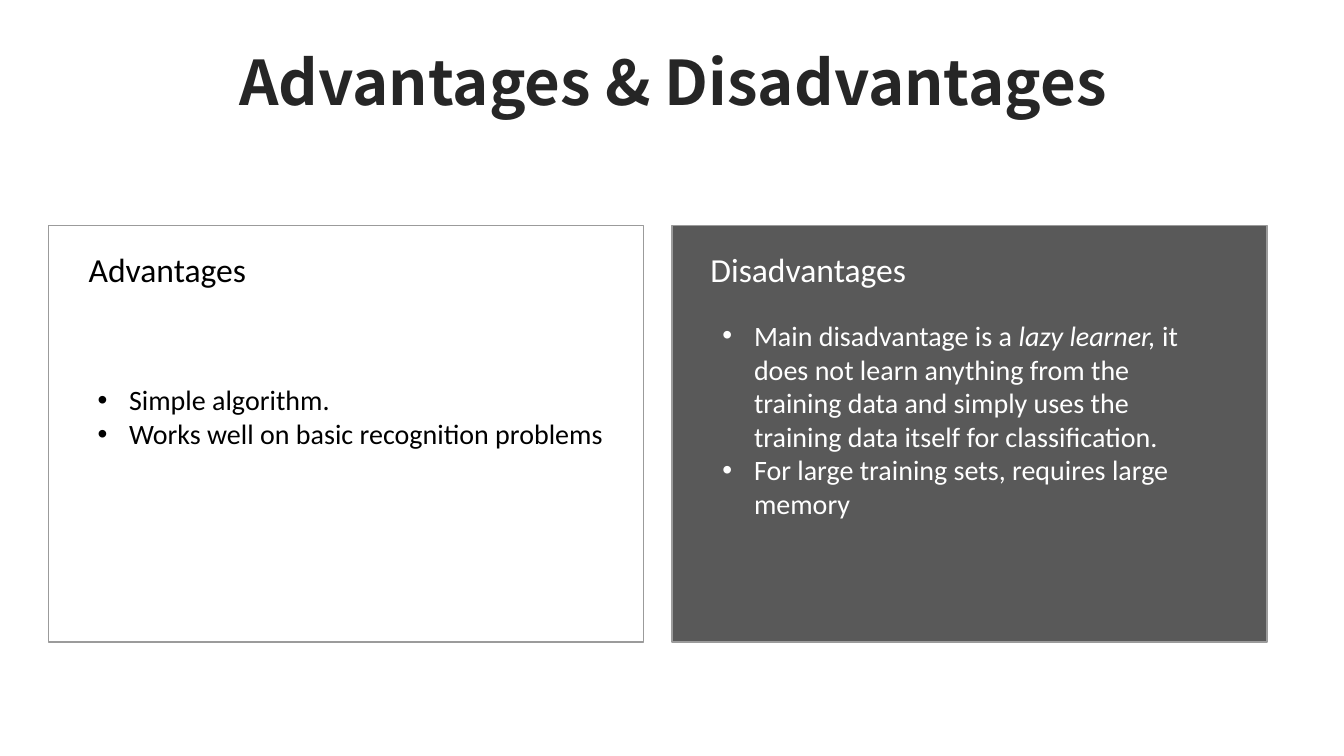
from lxml.etree import SubElement
from pptx import Presentation
from pptx.dml.color import RGBColor
from pptx.enum.shapes import MSO_SHAPE as Shape
from pptx.enum.text import MSO_ANCHOR as Anchor, PP_ALIGN as Align
from pptx.oxml.ns import qn
from pptx.util import Pt

COLORS = {
    "white": "FFFFFF",
    "black": "000000",
    "title": "262626",
    "dark": "595959",
    "border": "9B9B9B",
}
CARD_TOP, CARD_WIDTH, CARD_HEIGHT = 161, 425.2, 297.5
BULLET_INDENT = 22.5


def color(name):
    return RGBColor.from_string(COLORS[name])


class ComparisonSlide:
    title_font = "Noto Sans CJK SC"
    body_font = "Calibri"

    def __init__(self, deck):
        self.page = deck.slides.add_slide(deck.slide_layouts[6])

    def card(self, left, fill):
        card = self.page.shapes.add_shape(
            Shape.RECTANGLE, Pt(left), Pt(CARD_TOP), Pt(CARD_WIDTH), Pt(CARD_HEIGHT))
        card.shadow.inherit = False
        card.fill.solid()
        card.fill.fore_color.rgb = color(fill)
        card.line.color.rgb = color("border")
        card.line.width = Pt(1)

    def text_frame(self, left, top, width, height):
        box = self.page.shapes.add_textbox(Pt(left), Pt(top), Pt(width), Pt(height))
        box.text_frame.word_wrap = True
        return box.text_frame

    def style(self, span, size, ink, font=body_font):
        span.font.name = font
        span.font.size = Pt(size)
        span.font.color.rgb = color(ink)

    def title(self, text):
        frame = self.text_frame(89.3, 29.5, 783.4, 62.6)
        frame.vertical_anchor = Anchor.MIDDLE
        frame.text = text
        para = frame.paragraphs[0]
        para.alignment = Align.CENTER
        para.line_spacing = 0.9
        span = para.runs[0]
        self.style(span, 44, "title", self.title_font)
        span.font.bold = True

    def heading(self, text, left, width, ink):
        frame = self.text_frame(left, 174.2, width, 36)
        frame.text = text
        self.style(frame.paragraphs[0].runs[0], 24, ink)

    def bullets(self, items, left, top, width, height, ink):
        """Each item is a list of spans; every second span is italic."""
        frame = self.text_frame(left, top, width, height)
        for index, spans in enumerate(items):
            para = frame.add_paragraph() if index else frame.paragraphs[0]
            properties = para._p.get_or_add_pPr()
            properties.set("marL", str(Pt(BULLET_INDENT)))
            properties.set("indent", str(-Pt(BULLET_INDENT)))
            SubElement(properties, qn("a:buFont"), typeface="Arial")
            SubElement(properties, qn("a:buChar"), char="•")
            for position, text in enumerate(spans):
                span = para.add_run()
                span.text = text
                self.style(span, 20, ink)
                span.font.italic = position % 2 == 1


def main():
    deck = Presentation()
    deck.slide_width, deck.slide_height = Pt(960), Pt(540)
    slide = ComparisonSlide(deck)

    slide.title("Advantages & Disadvantages")
    slide.card(34.5, "white")
    slide.card(480, "dark")
    slide.heading("Advantages", 56.2, 139.7, "black")
    slide.heading("Disadvantages", 500.4, 213, "white")
    slide.bullets(
        [["Simple algorithm."], ["Works well on basic recognition problems"]],
        62.6, 270, 396.7, 55.7, "black")
    slide.bullets(
        [["Main disadvantage is a", " lazy learner, ",
          "it does not learn anything from the training data and simply uses "
          "the training data itself for classification."],
         ["For large training sets, requires large memory"]],
        509, 223.9, 368.6, 152.6, "white")

    deck.save("out.pptx")


if __name__ == "__main__":
    main()
